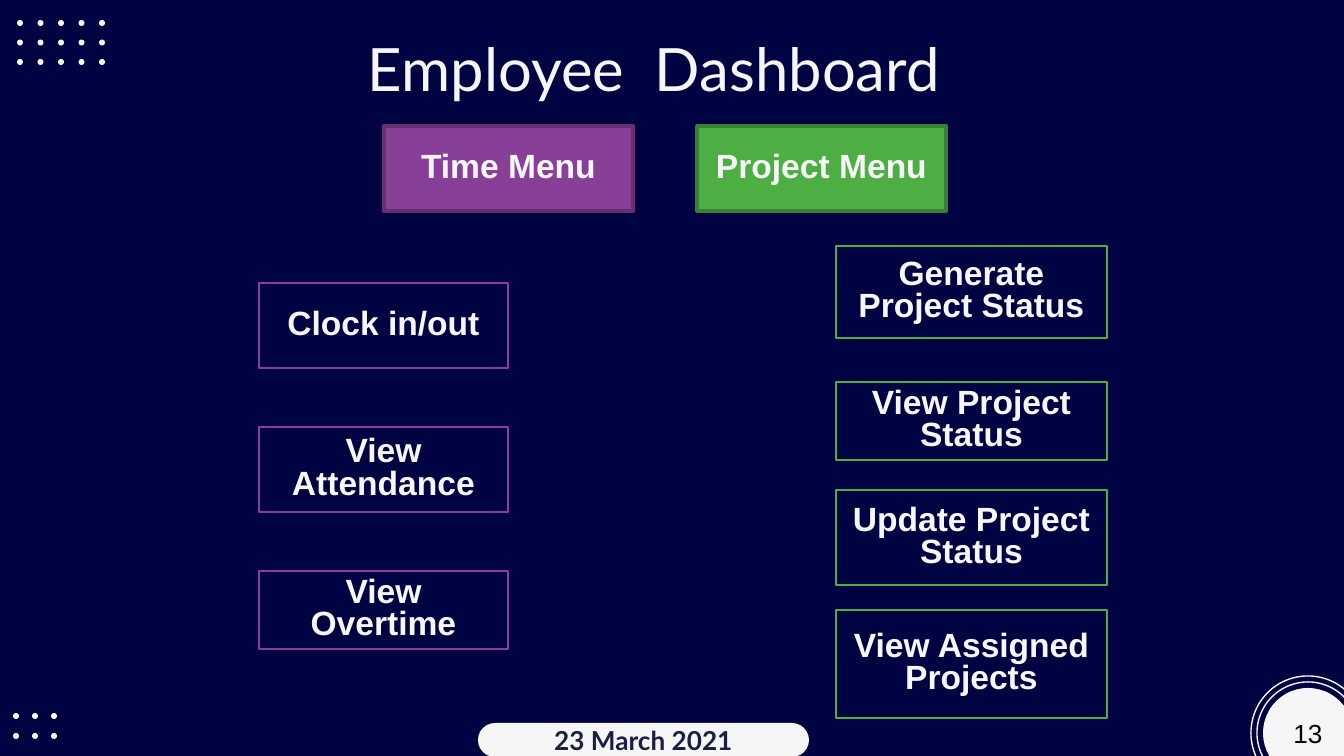
from dataclasses import dataclass
from pptx import Presentation
from pptx.dml.color import RGBColor as RGB
from pptx.enum.shapes import MSO_SHAPE as Kind
from pptx.enum.text import MSO_ANCHOR as Anchor, PP_ALIGN as Align
from pptx.util import Emu, Pt


@dataclass(frozen=True)
class Theme:
    back: str = "000341"
    light: str = "F6F6F6"
    ink: str = "1B1F42"
    black: str = "000000"
    time: str = "883F98"
    time_edge: str = "652F70"
    work: str = "4CAE43"
    work_edge: str = "388132"
    head: int = 32
    label: int = 18
    small: int = 14


theme = Theme()
WIDE, HIGH = 1344, 756
SCALE = 9144000 / WIDE
PAD = 13
DOT = 6

TITLE = ("Employee  Dashboard", (175, 19, 958, 85))
DATE = ("23 March 2021", (478, 723, 331, 34))
PAGE = "13"
HUB = (1308, 733)
RINGS = (57, 51)
DISC = 45

MENUS = [
    ("Time Menu", 384, theme.time, theme.time_edge),
    ("Project Menu", 697, theme.work, theme.work_edge),
]
MENU_TOP, MENU_W, MENU_H = 126, 249, 85

LISTS = [
    (259, 249, theme.time, [
        ("Clock in/out", 283, 85),
        ("View Attendance", 427, 85),
        ("View Overtime", 571, 78),
    ]),
    (836, 271, theme.work, [
        ("Generate Project Status", 246, 92),
        ("View Project Status", 382, 78),
        ("Update Project Status", 490, 95),
        ("View Assigned Projects", 610, 108),
    ]),
]

DOTS = [
    ((17, 99), 5, (20, 59), 3),
    ((13, 51), 3, (713, 733), 2),
]


def px(size):
    return Emu(round(size * SCALE))


def spread(ends, count):
    first, last = ends
    return [first + (last - first) * i / (count - 1) for i in range(count)]


def write(shape, text, size, color=theme.light, font="Arial", bold=False,
          space=1.0, anchor=Anchor.MIDDLE):
    frame = shape.text_frame
    form = {"word_wrap": True, "vertical_anchor": anchor}
    form.update({f"margin_{side}": px(PAD)
                 for side in ("left", "right", "top", "bottom")})
    for name, value in form.items():
        setattr(frame, name, value)
    para = frame.paragraphs[0]
    para.alignment = Align.CENTER
    para.line_spacing = space
    run = para.add_run()
    run.text = text
    for name, value in {"name": font, "size": Pt(size), "bold": bold}.items():
        setattr(run.font, name, value)
    run.font.color.rgb = RGB.from_string(color)


def draw(slide, kind, box, fill=None, line=None, width=0.75):
    shape = slide.shapes.add_shape(kind, *map(px, box))
    shape.shadow.inherit = False
    for part, color in ((shape.fill, fill), (shape.line.fill, line)):
        if color:
            part.solid()
            part.fore_color.rgb = RGB.from_string(color)
        else:
            part.background()
    if line:
        shape.line.width = Pt(width)
    return shape


def disc(slide, radius, **look):
    x, y = HUB
    box = (x - radius, y - radius, 2 * radius, 2 * radius)
    return draw(slide, Kind.OVAL, box, **look)


def build():
    deck = Presentation()
    deck.slide_width, deck.slide_height = px(WIDE), px(HIGH)
    slide = deck.slides.add_slide(deck.slide_layouts[6])
    slide.background.fill.solid()
    slide.background.fill.fore_color.rgb = RGB.from_string(theme.back)

    for across, cols, down, rows in DOTS:
        for y in spread(down, rows):
            for x in spread(across, cols):
                draw(slide, Kind.OVAL, (x, y, DOT, DOT), theme.light)

    text, box = TITLE
    title = slide.shapes.add_textbox(*map(px, box))
    write(title, text, theme.head, font="Lato", anchor=Anchor.TOP)

    label = {"size": theme.label, "bold": True, "space": 0.8}
    for left, wide, color, items in LISTS:
        for text, top, high in items:
            card = draw(slide, Kind.RECTANGLE, (left, top, wide, high),
                        line=color)
            write(card, text, **label)
    for text, left, fill, edge in MENUS:
        menu = draw(slide, Kind.RECTANGLE, (left, MENU_TOP, MENU_W, MENU_H),
                    fill, edge, 2)
        write(menu, text, **label)

    text, box = DATE
    pill = draw(slide, Kind.ROUNDED_RECTANGLE, box, theme.light)
    pill.adjustments[0] = 0.5
    write(pill, text, theme.small, theme.ink, "Lato", True)

    for radius in RINGS:
        disc(slide, radius, line=theme.light)
    write(disc(slide, DISC, fill=theme.light), PAGE, theme.small, theme.black)
    deck.save("out.pptx")


if __name__ == "__main__":
    build()
